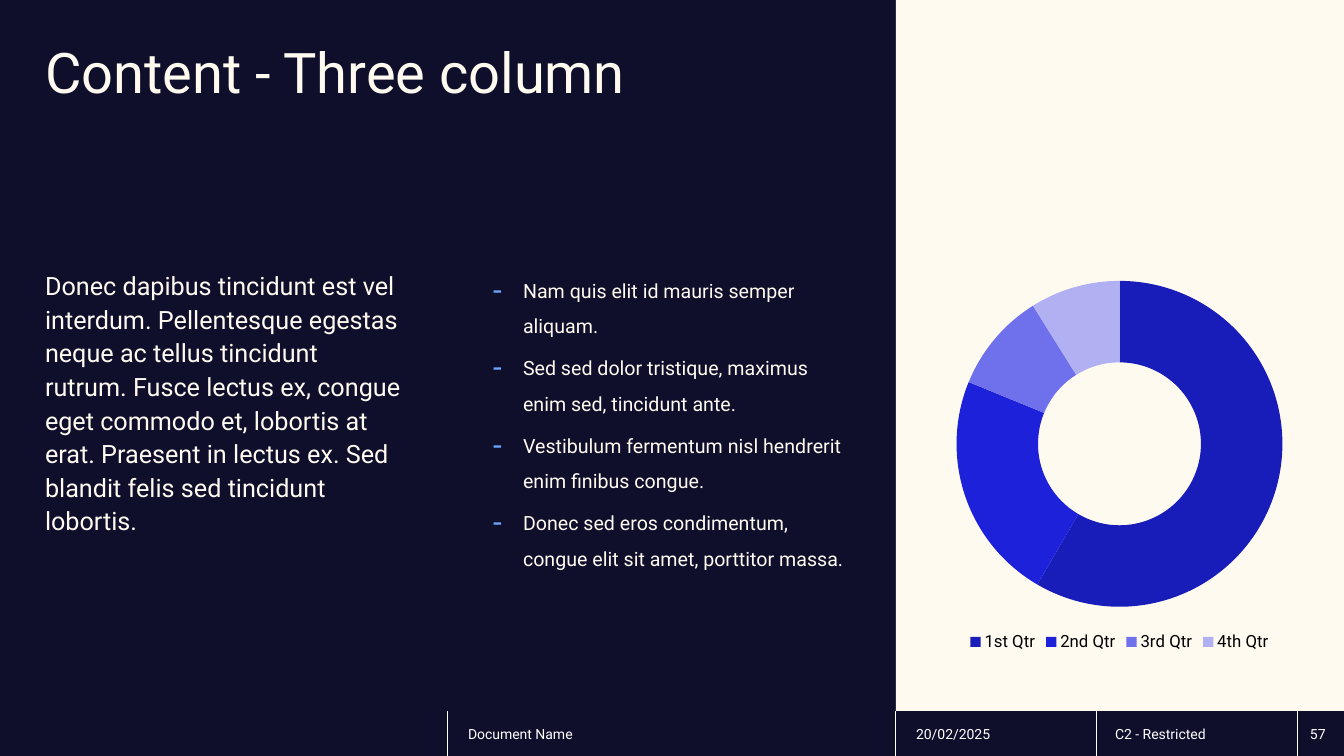
from lxml import etree
from pptx import Presentation
from pptx.chart.data import CategoryChartData
from pptx.dml.color import RGBColor
from pptx.enum.chart import XL_CHART_TYPE, XL_LEGEND_POSITION
from pptx.enum.shapes import MSO_CONNECTOR, MSO_SHAPE
from pptx.enum.text import MSO_ANCHOR, MSO_AUTO_SIZE, PP_ALIGN
from pptx.oxml.ns import qn
from pptx.util import Pt

TOP, MIDDLE = MSO_ANCHOR.TOP, MSO_ANCHOR.MIDDLE
LEFT = PP_ALIGN.LEFT

NAVY = RGBColor(0x0F, 0x0E, 0x2B)
CREAM = RGBColor(0xFF, 0xFA, 0xF0)
WHITE = RGBColor(0xFF, 0xFF, 0xFF)
BLACK = RGBColor(0x00, 0x00, 0x00)
SKY = RGBColor(0x6D, 0xA5, 0xFF)
FONT = "Roboto"

TITLE = "Content - Three column"
INTRO = (
    "Donec dapibus tincidunt est vel interdum. Pellentesque egestas neque ac "
    "tellus tincidunt rutrum. Fusce lectus ex, congue eget commodo et, lobortis "
    "at erat. Praesent in lectus ex. Sed blandit felis sed tincidunt lobortis."
)
BULLETS = [
    "Nam quis elit id mauris semper aliquam.",
    "Sed sed dolor tristique, maximus enim sed, tincidunt ante.",
    "Vestibulum fermentum nisl hendrerit enim finibus congue.",
    "Donec sed eros condimentum, congue elit sit amet, porttitor massa.",
]
QUARTERS = [
    ("1st Qtr", 59, RGBColor(0x18, 0x1C, 0xB8)),
    ("2nd Qtr", 23, RGBColor(0x1D, 0x22, 0xDA)),
    ("3rd Qtr", 10, RGBColor(0x6F, 0x70, 0xEC)),
    ("4th Qtr", 9, RGBColor(0xB0, 0xB0, 0xF3)),
]
# text, cell left, cell right, left inset, wraps
FOOTER = [
    ("Document Name", 448, 896, 20, True),
    ("20/02/2025", 896, 1097, 20, True),
    ("C2 - Restricted", 1097, 1298, 18, False),
    ("57", 1298, 1344, 12, False),
]

WIDTH, HEIGHT = 1344, 756
EMU_PER_PX = 12192000 / WIDTH
THIRD = WIDTH // 3
MARGIN = 45
FOOTER_TOP = 711
COLUMN_TOP, COLUMN_WIDTH, COLUMN_HEIGHT = 267, 357, 389
INDENT = 30


def px(length):
    return round(length * EMU_PER_PX)


def box(*lengths):
    return [px(length) for length in lengths]


def column_box(index):
    return box(MARGIN + index * THIRD, COLUMN_TOP, COLUMN_WIDTH, COLUMN_HEIGHT)


def place(shape, bounds):
    shape.left, shape.top, shape.width, shape.height = bounds


def set_frame(frame, anchor=TOP, left=0, right=0, wrap=True):
    frame.auto_size = MSO_AUTO_SIZE.NONE
    frame.word_wrap = wrap
    frame.vertical_anchor = anchor
    frame.margin_left, frame.margin_right = px(left), px(right)
    frame.margin_top = frame.margin_bottom = 0


def style_font(font, size, color):
    font.name, font.size = FONT, Pt(size)
    font.color.rgb = color


def write(paragraph, text, size, color):
    paragraph.alignment = LEFT
    run = paragraph.add_run()
    run.text = text
    style_font(run.font, size, color)


def set_bullet(paragraph, character=None, indent=0):
    """Set a dash bullet with a hanging indent, or none without a character."""
    properties = paragraph._p.get_or_add_pPr()
    properties.set("marL", str(px(indent)))
    properties.set("indent", str(-px(indent)))
    if character is None:
        etree.SubElement(properties, qn("a:buNone"))
        return
    color = etree.SubElement(properties, qn("a:buClr"))
    etree.SubElement(color, qn("a:srgbClr"), val=str(SKY))
    etree.SubElement(properties, qn("a:buSzPct"), val="160000")
    etree.SubElement(properties, qn("a:buFont"), typeface=FONT)
    etree.SubElement(properties, qn("a:buChar"), char=character)


def add_panel(slide):
    panel = slide.shapes.add_shape(
        MSO_SHAPE.RECTANGLE, *box(2 * THIRD, 0, THIRD, FOOTER_TOP))
    panel.shadow.inherit = False
    panel.fill.solid()
    panel.fill.fore_color.rgb = CREAM
    panel.line.fill.background()


def add_text_columns(slide):
    title, intro, points = slide.placeholders
    place(title, box(MARGIN, MARGIN, 804, 166))
    place(intro, column_box(0))
    place(points, column_box(1))
    for placeholder in (title, intro, points):
        set_frame(placeholder.text_frame)

    paragraph = title.text_frame.paragraphs[0]
    paragraph.line_spacing = 0.9
    write(paragraph, TITLE, 40, CREAM)

    paragraph = intro.text_frame.paragraphs[0]
    set_bullet(paragraph)
    paragraph.line_spacing = Pt(24)
    paragraph.space_before = Pt(0)
    write(paragraph, INTRO, 18, CREAM)

    frame = points.text_frame
    for index, text in enumerate(BULLETS):
        paragraph = frame.add_paragraph() if index else frame.paragraphs[0]
        paragraph.level = 1
        set_bullet(paragraph, "-", INDENT)
        paragraph.line_spacing = 1.5
        paragraph.space_before = Pt(5 if index else 0)
        write(paragraph, text, 14, CREAM)


def add_quarter_chart(slide):
    data = CategoryChartData()
    data.categories = [name for name, _, _ in QUARTERS]
    data.add_series("Series 1", [value for _, value, _ in QUARTERS])
    chart = slide.shapes.add_chart(
        XL_CHART_TYPE.DOUGHNUT, *column_box(2), data).chart
    style_font(chart.font, 10, WHITE)
    chart.has_title = False
    chart.has_legend = True
    chart.legend.position = XL_LEGEND_POSITION.BOTTOM
    chart.legend.include_in_layout = False
    style_font(chart.legend.font, 12, BLACK)
    plot = chart.plots[0]
    plot.vary_by_categories = True
    plot._element.find(qn("c:holeSize")).set("val", "75")
    for index, (_, _, color) in enumerate(QUARTERS):
        slice_format = plot.series[0].points[index].format
        slice_format.fill.solid()
        slice_format.fill.fore_color.rgb = color
        slice_format.line.fill.background()


def add_footer(slide):
    height = HEIGHT - FOOTER_TOP
    for text, left, right, inset, wrap in FOOTER:
        divider = slide.shapes.add_connector(
            MSO_CONNECTOR.STRAIGHT, *box(left, FOOTER_TOP, left, HEIGHT))
        divider.line.color.rgb = WHITE
        divider.line.width = Pt(0.75)
        etree.SubElement(divider._element.spPr, qn("a:effectLst"))
        label = slide.shapes.add_textbox(
            *box(left, FOOTER_TOP, right - left, height))
        set_frame(label.text_frame, MIDDLE, inset, 20, wrap)
        write(label.text_frame.paragraphs[0], text, 10, WHITE)


def main():
    presentation = Presentation()
    presentation.slide_width, presentation.slide_height = box(WIDTH, HEIGHT)
    two_content = presentation.slide_layouts.get_by_name("Two Content")
    slide = presentation.slides.add_slide(two_content)
    slide.background.fill.solid()
    slide.background.fill.fore_color.rgb = NAVY
    add_panel(slide)
    add_text_columns(slide)
    add_quarter_chart(slide)
    add_footer(slide)
    presentation.save("out.pptx")


if __name__ == "__main__":
    main()
